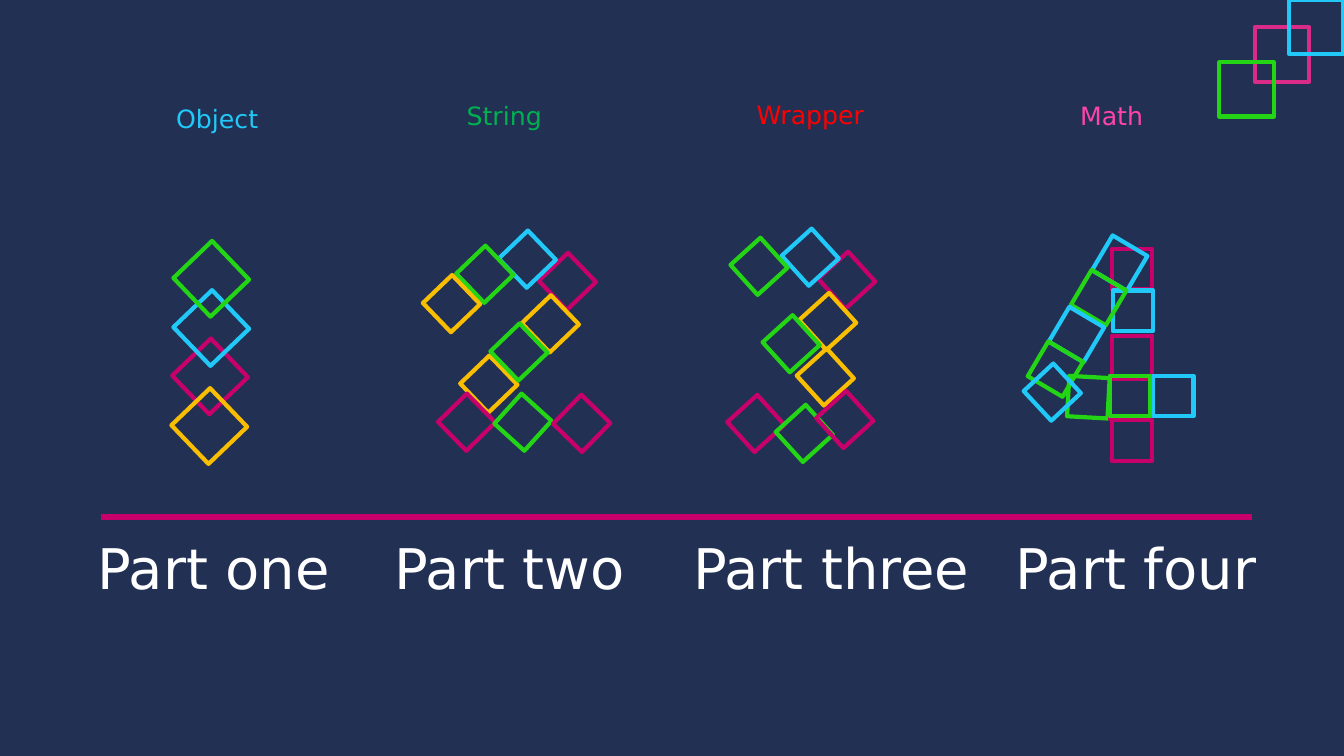
"""Build an agenda slide whose part numbers are drawn with outlined squares."""
from dataclasses import dataclass

import lxml.etree
import pptx
import pptx.dml.color
import pptx.enum.shapes
import pptx.oxml.ns
import pptx.presentation
import pptx.shapes.autoshape
import pptx.slide
import pptx.util
from pptx.util import Cm


@dataclass(frozen=True)
class Theme:
    """Colours, type sizes and line widths of the slide."""

    font: str = "DejaVu Sans"
    night: str = "223054"
    white: str = "FFFFFF"
    magenta: str = "C7006B"
    pink: str = "DA2B89"
    cyan: str = "20C9F8"
    amber: str = "FABE00"
    lime: str = "23D515"
    green: str = "00B050"
    red: str = "FF0000"
    rose: str = "FF44A9"
    topic_size: float = 18
    part_size: float = 40
    square_line: float = 3
    rule_line: float = 4.5


THEME = Theme()


@dataclass(frozen=True)
class Square:
    """Place and colour of a square, with its own turn where it differs."""

    left: float
    top: float
    color: str
    turn: float | None = None


@dataclass(frozen=True)
class Figure:
    """Squares of one size that form a figure."""

    side: float
    turn: float
    squares: tuple[Square, ...]


@dataclass(frozen=True)
class Label:
    """Text at a place."""

    text: str
    left: float
    top: float
    color: str


@dataclass(frozen=True)
class LabelStyle:
    """Box and type size shared by a row of labels."""

    width: float
    height: float
    size: float


ONE = Figure(1.35, 316.2, (
    Square(4.62, 8.81, THEME.magenta),
    Square(4.65, 7.59, THEME.cyan),
    Square(4.6, 10.06, THEME.amber),
    Square(4.65, 6.35, THEME.lime),
))
TWO = Figure(1.02, 316.2, (
    Square(13.79, 6.58, THEME.magenta),
    Square(12.78, 6.02, THEME.cyan),
    Square(13.36, 7.65, THEME.amber),
    Square(11.71, 6.4, THEME.lime),
    Square(11.81, 9.17, THEME.amber),
    Square(12.57, 8.36, THEME.lime),
    Square(11.25, 10.13, THEME.magenta, 315.6),
    Square(10.87, 7.14, THEME.amber),
    Square(12.67, 10.13, THEME.lime, 312.2),
    Square(14.15, 10.16, THEME.magenta, 44.3),
))
THREE = Figure(1.02, 317.8, (
    Square(20.83, 6.55, THEME.magenta),
    Square(19.91, 5.97, THEME.cyan),
    Square(20.35, 7.59, THEME.amber),
    Square(18.62, 6.2, THEME.lime),
    Square(20.29, 8.99, THEME.amber),
    Square(19.43, 8.15, THEME.lime),
    Square(18.54, 10.16, THEME.magenta),
    Square(19.76, 10.41, THEME.lime),
    Square(20.78, 10.06, THEME.magenta),
))
FOUR = Figure(1.02, 0, (
    Square(28.02, 6.27, THEME.magenta),
    Square(26.92, 9.5, THEME.lime, 3.2),
    Square(27.71, 6.12, THEME.cyan, 300.6),
    Square(28.04, 7.32, THEME.cyan),
    Square(28.02, 8.46, THEME.magenta),
    Square(27.97, 9.55, THEME.magenta),
    Square(28.02, 10.59, THEME.magenta),
    Square(29.06, 9.47, THEME.cyan),
    Square(27.97, 9.47, THEME.lime),
    Square(27.18, 6.99, THEME.lime, 300.6),
    Square(26.62, 7.92, THEME.cyan, 300.6),
    Square(26.09, 8.79, THEME.lime, 300.6),
    Square(26.01, 9.37, THEME.cyan, 317),
))
CORNER = Figure(1.37, 0, (
    Square(31.62, 0.69, THEME.pink),
    Square(32.49, 0, THEME.cyan),
    Square(30.73, 1.57, THEME.lime),
))
FIGURES = (ONE, TWO, THREE, FOUR, CORNER)

PART_TOP = 13.31
PART_STYLE = LabelStyle(8.15, 1.96, THEME.part_size)
PARTS = (
    Label("Part one", 2.21, PART_TOP, THEME.white),
    Label("Part two", 9.7, PART_TOP, THEME.white),
    Label("Part three", 17.22, PART_TOP, THEME.white),
    Label("Part four", 25.35, PART_TOP, THEME.white),
)
TOPIC_STYLE = LabelStyle(5.18, 1.02, THEME.topic_size)
TOPICS = (
    Label("Object", 4.19, 2.49, THEME.cyan),
    Label("String", 11.51, 2.41, THEME.green),
    Label("Wrapper", 18.82, 2.39, THEME.red),
    Label("Math", 26.97, 2.41, THEME.rose),
)


def rgb(color: str) -> pptx.dml.color.RGBColor:
    """Return the colour object for a hex value."""
    return pptx.dml.color.RGBColor.from_string(color)


def draw_figure(page: pptx.slide.Slide, figure: Figure) -> None:
    """Draw the squares of a figure as one group."""
    group = page.shapes.add_group_shape()
    side = Cm(figure.side)
    for square in figure.squares:
        shape = group.shapes.add_shape(
            pptx.enum.shapes.MSO_SHAPE.RECTANGLE, Cm(square.left), Cm(square.top), side, side)
        shape.rotation = figure.turn if square.turn is None else square.turn
        shape.shadow.inherit = False
        shape.fill.background()
        shape.line.color.rgb = rgb(square.color)
        shape.line.width = pptx.util.Pt(THEME.square_line)


def draw_label(page: pptx.slide.Slide, label: Label, style: LabelStyle) -> None:
    """Draw one label as a text box."""
    box = page.shapes.add_textbox(
        Cm(label.left), Cm(label.top), Cm(style.width), Cm(style.height))
    box.text_frame.word_wrap = True
    para = box.text_frame.paragraphs[0]
    para.text = label.text
    para.font.name = THEME.font
    para.font.size = pptx.util.Pt(style.size)
    para.font.color.rgb = rgb(label.color)


def draw_rule(page: pptx.slide.Slide, left: float, right: float, top: float) -> None:
    """Draw the horizontal rule above the part names."""
    rule = page.shapes.add_connector(
        pptx.enum.shapes.MSO_CONNECTOR.STRAIGHT, Cm(left), Cm(top), Cm(right), Cm(top))
    rule.line.color.rgb = rgb(THEME.magenta)
    rule.line.width = pptx.util.Pt(THEME.rule_line)
    lxml.etree.SubElement(rule._element.spPr, pptx.oxml.ns.qn("a:effectLst"))


def main() -> None:
    """Build the slide and save the deck."""
    deck = pptx.Presentation()
    deck.slide_width, deck.slide_height = Cm(33.87), Cm(19.05)
    page = deck.slides.add_slide(deck.slide_layouts[6])
    page.background.fill.solid()
    page.background.fill.fore_color.rgb = rgb(THEME.night)
    for figure in FIGURES:
        draw_figure(page, figure)
    for part in PARTS:
        draw_label(page, part, PART_STYLE)
    draw_rule(page, 2.54, 31.55, 13.03)
    for topic in TOPICS:
        draw_label(page, topic, TOPIC_STYLE)
    deck.save("out.pptx")


if __name__ == "__main__":
    main()
